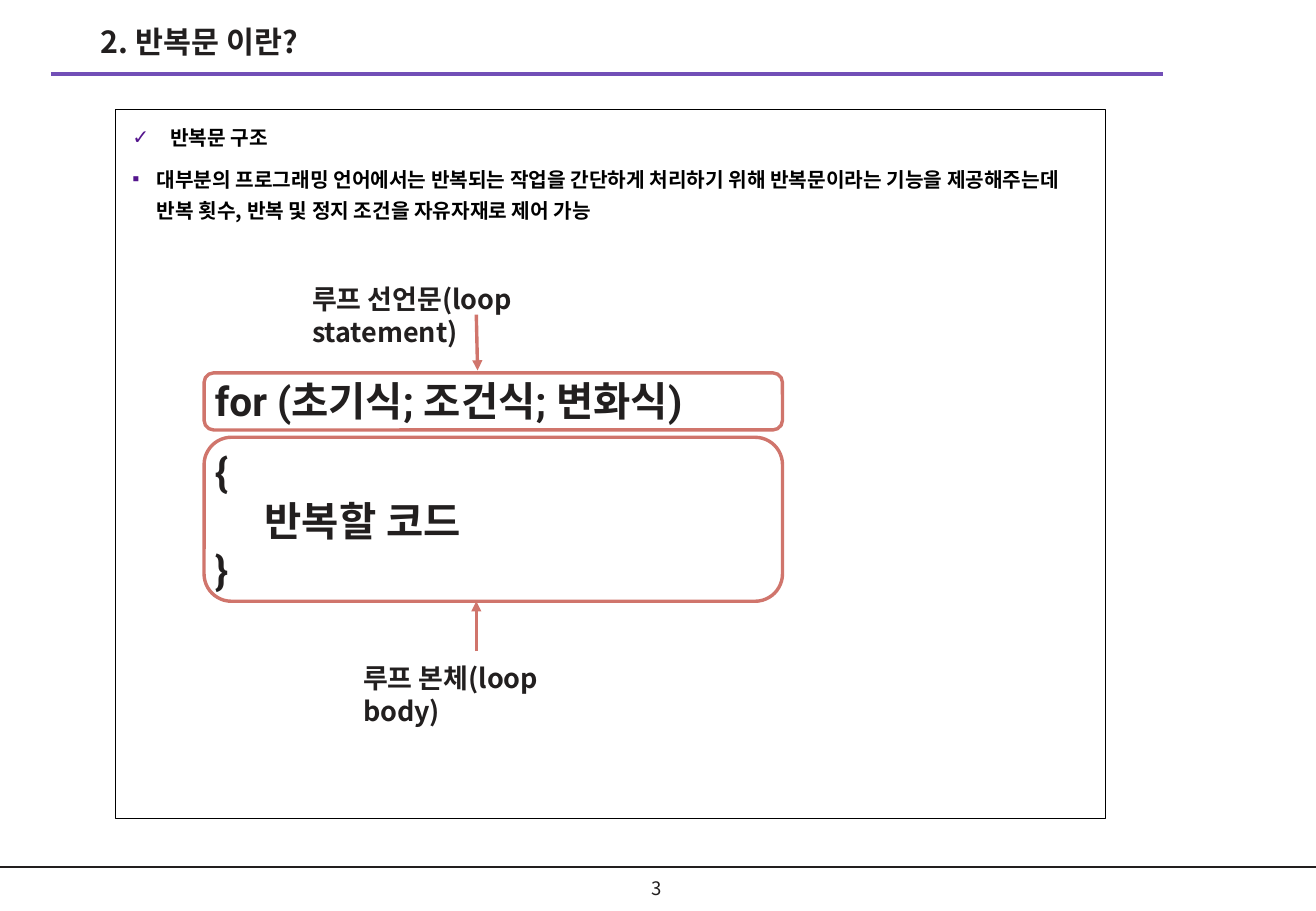
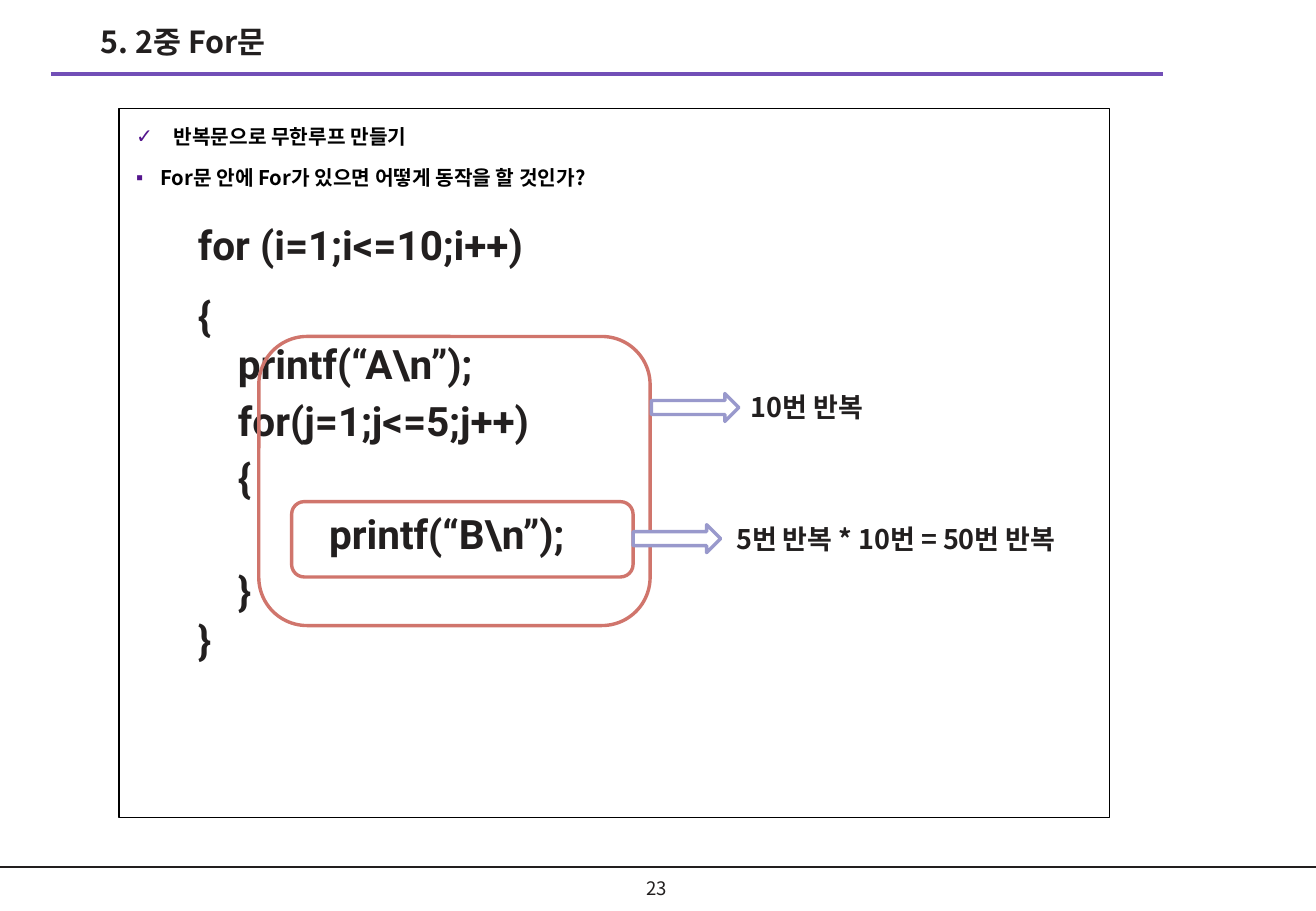
"""Build two slides on loop statements."""
from dataclasses import dataclass
from typing import Any

from pptx import Presentation
from pptx import util as u
from pptx.dml.color import RGBColor
from pptx.enum import shapes, text
from pptx.oxml.ns import qn
from lxml import etree

SANS, CODE = "Noto Sans CJK KR", "Roboto"
INK, BLACK, WHITE = "221F1F", "000000", "FFFFFF"
RULE, MARK, RED, LILAC = "724FB7", "54158D", "D0756C", "9999CC"
ROUND = shapes.MSO_SHAPE.ROUNDED_RECTANGLE
ARROW = shapes.MSO_SHAPE.RIGHT_ARROW
LEFT, MID = text.PP_ALIGN.LEFT, text.PP_ALIGN.CENTER
TOP, CENTRE = text.MSO_ANCHOR.TOP, text.MSO_ANCHOR.MIDDLE
Box = tuple[float, float, float, float]


@dataclass
class Style:
    """Font of a text."""
    size: float
    name: str = SANS
    bold: bool = True
    hue: str = INK


@dataclass
class Row:
    """One paragraph with its spacing and indent."""
    text: str
    gap: float = 0
    left: float = 0
    hang: float = 0
    mark: str = ""
    lead: float = 1
    align: Any = LEFT


@dataclass
class Form:
    """A preset shape."""
    kind: Any
    box: Box
    hue: str = RED
    fill: str = ""


@dataclass
class Note:
    """A free text box."""
    box: Box
    rows: list[Row]
    style: Style


@dataclass
class Page:
    """Content of one slide."""
    num: str
    title: str
    box: Box
    points: list[str]
    notes: list[Note]
    forms: list[Form]
    links: list[Box]


HEAD, BODY = Style(18), Style(12, hue=BLACK)
LABEL, BIG, FOOT = Style(16), Style(24, CODE), Style(11, bold=False)


def color(code: str) -> RGBColor:
    """Turn a hex string into a colour."""
    return RGBColor.from_string(code)


def put(item: Any, vals: dict[str, Any]) -> None:
    """Set attributes from a dict."""
    for key, val in vals.items():
        setattr(item, key, val)


def place(item: Any, box: Box) -> None:
    """Move and size a shape."""
    put(item, dict(zip(("left", "top", "width", "height"), map(u.Inches, box))))


def stroke(item: Any, hue: str, width: float) -> None:
    """Colour an outline."""
    item.line.color.rgb = color(hue)
    item.line.width = u.Pt(width)


def write(frame: Any, rows: list[Row], style: Style, anchor: Any = TOP,
          pad: tuple[float, float] = (0.1, 0.05)) -> None:
    """Fill a text frame with rows."""
    side, edge = map(u.Inches, pad)
    put(frame, {"word_wrap": True, "auto_size": text.MSO_AUTO_SIZE.NONE,
                "vertical_anchor": anchor, "margin_left": side,
                "margin_right": side, "margin_top": edge, "margin_bottom": edge})
    for i, row in enumerate(rows):
        para = frame.add_paragraph() if i else frame.paragraphs[0]
        put(para, {"alignment": row.align, "line_spacing": row.lead,
                   "space_before": u.Pt(row.gap)})
        props = para._p.get_or_add_pPr()
        props.set("marL", str(u.Inches(row.left)))
        props.set("indent", str(u.Inches(-row.hang)))
        if row.mark:
            tint = etree.SubElement(props, qn("a:buClr"))
            etree.SubElement(tint, qn("a:srgbClr"), val=MARK)
            etree.SubElement(props, qn("a:buChar"), char=row.mark)
        run = para.add_run()
        run.text = row.text
        put(run.font, {"size": u.Pt(style.size), "bold": style.bold,
                       "name": style.name})
        run.font.color.rgb = color(style.hue)
        etree.SubElement(run.font._element, qn("a:ea"), typeface=style.name)


def link(slide: Any, ends: Box, hue: str, width: float, tip: bool = False) -> None:
    """Draw a straight line, with an arrowhead if asked."""
    item = slide.shapes.add_connector(
        shapes.MSO_CONNECTOR.STRAIGHT, *map(u.Inches, ends))
    stroke(item, hue, width)
    if tip:
        etree.SubElement(item.line._get_or_add_ln(), qn("a:tailEnd"),
                         type="triangle")
    etree.SubElement(item._element.spPr, qn("a:effectLst"))


def label(slide: Any, note: Note, anchor: Any = TOP) -> None:
    """Add a text box."""
    item = slide.shapes.add_textbox(*map(u.Inches, note.box))
    write(item.text_frame, note.rows, note.style, anchor)


def draw(slide: Any, form: Form) -> None:
    """Add a preset shape."""
    item = slide.shapes.add_shape(form.kind, *map(u.Inches, form.box))
    item.shadow.inherit = False
    stroke(item, form.hue, 2)
    if form.fill:
        item.fill.solid()
        item.fill.fore_color.rgb = color(form.fill)
    else:
        item.fill.background()


def build(deck: Any, page: Page) -> None:
    """Add one slide."""
    slide = deck.slides.add_slide(deck.slide_layouts[1])
    title, body = slide.placeholders
    link(slide, (0, 7.14, 10.83, 7.14), INK, 1)
    link(slide, (0.42, 0.61, 9.57, 0.61), RULE, 2.25)
    label(slide, Note((5.1, 7.15, 0.61, 0.33), [Row(page.num, align=MID)], FOOT),
          CENTRE)
    place(title, (0.73, 0.14, 5.55, 0.48))
    write(title.text_frame, [Row(page.title)], HEAD)
    place(body, page.box)
    stroke(body, BLACK, 0.75)
    rows = [Row(line, 6, dent, dent, mark, 1.3) for line, dent, mark
            in zip(page.points, (0.31, 0.2), "✓▪")]
    write(body.text_frame, rows, BODY, pad=(0.14, 0.07))
    for note in page.notes:
        label(slide, note)
    for form in page.forms:
        draw(slide, form)
    for ends in page.links:
        link(slide, ends, RED, 2, True)


def tag(words: str, *box: float) -> Note:
    """Make a label."""
    return Note(box, [Row(words, 3.2)], LABEL)


PAGES = [
    Page("3", "2. 반복문 이란?", (0.95, 0.9, 8.15, 5.84),
         ["반복문 구조",
          "대부분의 프로그래밍 언어에서는 반복되는 작업을 간단하게 처리하기 위해 "
          "반복문이라는 기능을 제공해주는데 반복 횟수, 반복 및 정지 조건을 "
          "자유자재로 제어 가능"],
         [Note((1.67, 3.05, 6.16, 1.88),
               [Row("for (초기식; 조건식; 변화식)", 4.8), Row("{", 13.3),
                Row("반복할 코드", left=0.41), Row("}")], BIG),
          tag("루프 본체(loop body)", 2.89, 5.4, 2.17, 0.63),
          tag("루프 선언문(loop statement)", 2.47, 2.28, 2.91, 0.63)],
         [Form(ROUND, (1.68, 3.07, 4.76, 0.47)),
          Form(ROUND, (1.68, 3.6, 4.76, 1.35))],
         [(3.92, 5.36, 3.92, 4.95), (3.92, 2.59, 3.93, 3.05)]),
    Page("23", "5. 2중 For문", (0.98, 0.89, 8.15, 5.84),
         ["반복문으로 무한루프 만들기",
          "For문 안에 For가 있으면 어떻게 동작을 할 것인가?"],
         [Note((1.53, 1.76, 6.16, 3.82),
               [Row("for (i=1;i<=10;i++)", 4.8), Row("{", 13.3),
                Row(r"printf(“A\n”);", 0, 0.33),
                Row("for(j=1;j<=5;j++)", 4.8, 0.33), Row("{", 4.8, 0.33),
                Row(r"printf(“B\n”);", 4.8, 1.08), Row("}", 4.8, 0.33),
                Row("}")], BIG),
          tag("10번 반복", 6.08, 3.17, 1.4, 0.37),
          tag("5번 반복 * 10번 = 50번 반복", 5.96, 4.25, 3.3, 0.37)],
         [Form(ROUND, (2.13, 2.77, 3.22, 2.38)),
          Form(ROUND, (2.4, 4.13, 2.81, 0.62)),
          Form(ARROW, (5.36, 3.24, 0.72, 0.23), LILAC, WHITE),
          Form(ARROW, (5.21, 4.32, 0.72, 0.23), LILAC, WHITE)], []),
]


def main() -> None:
    """Build and save the deck."""
    deck = Presentation()
    put(deck, {"slide_width": u.Inches(10.83), "slide_height": u.Inches(7.5)})
    for page in PAGES:
        build(deck, page)
    deck.save("out.pptx")


if __name__ == "__main__":
    main()
